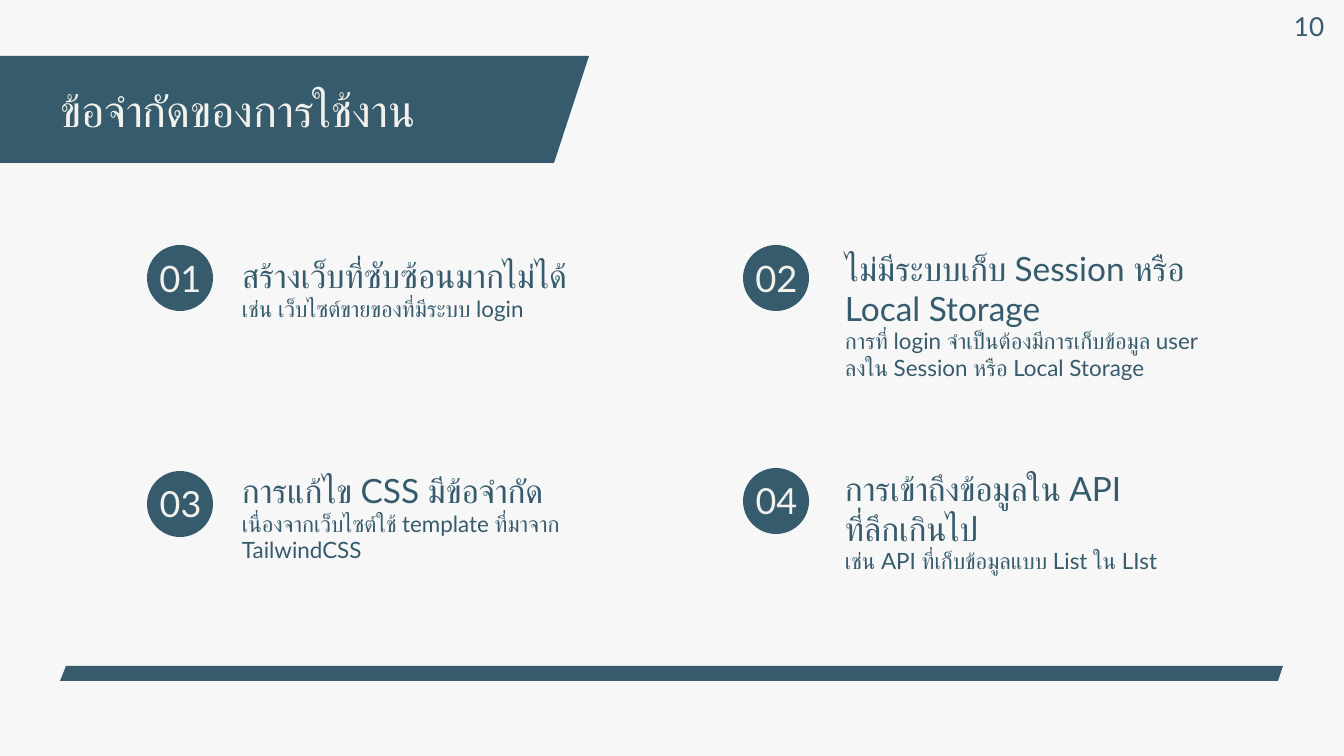
import pptx
import pptx.util
import pptx.dml.color
import pptx.enum.shapes
import pptx.enum.text

PX = 914400 / 67.2
COLORS = {"back": "F7F7F7", "teal": "365B6D", "cream": "F2F1EC"}
HEAD, BODY = (35.8, 42.3), (24, 28.3)  # text size, line height

# circle left, circle top, text box, lines of (text, style, font)
ITEMS = [
    (147, 245, (242, 256, 375, 105), [
        ("สร้างเว็บที่ซับซ้อนมากไม่ได้", HEAD, "Calibri"),
        ("เช่น เว็บไซต์ขายของที่มีระบบ login", BODY, "Lato")]),
    (743, 245, (845, 249, 365, 157), [
        ("ไม่มีระบบเก็บ Session หรือ Local Storage", HEAD, "Lato"),
        ("การที่ login จำเป็นต้องมีการเก็บข้อมูล user ลงใน Session หรือ Local Storage",
         BODY, "Lato")]),
    (147, 471, (242, 471, 347, 91), [
        ("การแก้ไข CSS มีข้อจำกัด", HEAD, "Lato"),
        ("เนื่องจากเว็บไซต์ใช้ template ที่มาจาก TailwindCSS", BODY, "Lato")]),
    (743, 468, (845, 469, 365, 105), [
        ("การเข้าถึงข้อมูลใน API", HEAD, "Lato"),
        ("ที่ลึกเกินไป", HEAD, "Calibri"),
        ("เช่น API ที่เก็บข้อมูลแบบ List ใน LIst", BODY, "Lato")]),
]


def emu(*nums):
    return [pptx.util.Emu(round(n * PX)) for n in nums]


def rgb(name):
    return pptx.dml.color.RGBColor.from_string(COLORS[name])


class Deck:
    def __init__(self):
        self.prs = pptx.Presentation()
        self.prs.slide_width, self.prs.slide_height = emu(1344, 756)
        self.slide = self.prs.slides.add_slide(self.prs.slide_layouts[6])
        fill = self.slide.background.fill
        fill.solid()
        fill.fore_color.rgb = rgb("back")

    def paint(self, shape):
        shape.shadow.inherit = False
        shape.fill.solid()
        shape.fill.fore_color.rgb = rgb("teal")
        shape.line.fill.background()

    def slant(self, points):
        path = self.slide.shapes.build_freeform(*points[0], scale=PX)
        path.add_line_segments(points[1:], close=True)
        self.paint(path.convert_to_shape())

    def disc(self, left, top, size):
        oval = pptx.enum.shapes.MSO_SHAPE.OVAL
        self.paint(self.slide.shapes.add_shape(oval, *emu(left, top, size, size)))

    def text(self, box, lines, color="teal", center=False):
        frame = self.slide.shapes.add_textbox(*emu(*box)).text_frame
        frame.word_wrap = True
        frame.margin_left = frame.margin_right = 0
        frame.margin_top = frame.margin_bottom = 0
        for i, (words, (size, space), face) in enumerate(lines):
            para = frame.add_paragraph() if i else frame.paragraphs[0]
            para.text = words
            para.line_spacing = pptx.util.Pt(space)
            if center:
                para.alignment = pptx.enum.text.PP_ALIGN.CENTER
            para.font.size = pptx.util.Pt(size)
            para.font.name = face
            para.font.color.rgb = rgb(color)


def main():
    deck = Deck()
    deck.slant([(-52, 56), (589, 56), (554, 163), (-87, 163)])
    deck.slant([(66, 666), (1283, 666), (1278, 681), (60, 681)])
    deck.text((60, 82, 597, 54),
              [("ข้อจำกัดของการใช้งาน", (48, 58.6), "Calibri")], "cream")
    for num, (left, top, box, lines) in enumerate(ITEMS, 1):
        style = (39, 47.5) if num < 3 else (38.5, 47)
        deck.disc(left, top, 66)
        deck.text((left + 7, top + 10, 53, 44),
                  [(f"{num:02}", style, "Lato")], "cream", True)
        deck.text(box, lines)
    deck.text((1286, 10, 46, 32), [("10", (28, 34.1), "Lato")], center=True)
    deck.prs.save("out.pptx")


if __name__ == "__main__":
    main()
